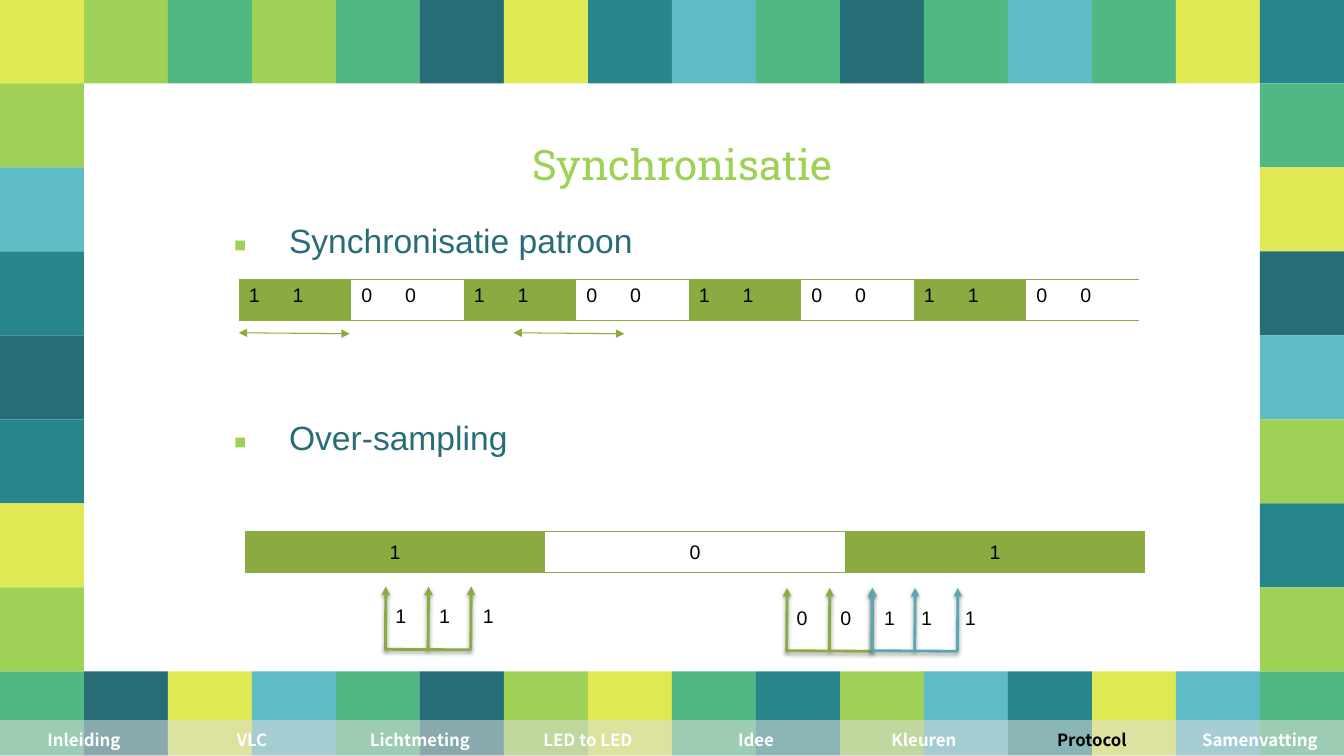
from lxml import etree
from pptx import Presentation
from pptx.dml.color import RGBColor
from pptx.enum.shapes import MSO_CONNECTOR, MSO_SHAPE
from pptx.enum.text import MSO_ANCHOR, PP_ALIGN
from pptx.oxml.ns import qn
from pptx.util import Pt

LINE, RECT = MSO_CONNECTOR.STRAIGHT, MSO_SHAPE.RECTANGLE
TOP, MID, LOW = MSO_ANCHOR.TOP, MSO_ANCHOR.MIDDLE, MSO_ANCHOR.BOTTOM
LEFT, CENTER = PP_ALIGN.LEFT, PP_ALIGN.CENTER

LIME = RGBColor(0x9E, 0xD1, 0x55)
DARK = RGBColor(0x26, 0x6D, 0x78)
YELLOW = RGBColor(0xDF, 0xE9, 0x54)
GREEN = RGBColor(0x50, 0xB8, 0x83)
TEAL = RGBColor(0x27, 0x86, 0x8B)
BLUE = RGBColor(0x5F, 0xBB, 0xC5)
OLIVE = RGBColor(0x8B, 0xAB, 0x42)
MOSS = RGBColor(0x89, 0xAA, 0x3E)
AQUA = RGBColor(0x57, 0xA7, 0xB5)
GRAY = RGBColor(0xDD, 0xDD, 0xDD)
WHITE = RGBColor(0xFF, 0xFF, 0xFF)
BLACK = RGBColor(0, 0, 0)

HUES = {"L": LIME, "D": DARK, "Y": YELLOW, "G": GREEN, "T": TEAL, "B": BLUE}
ROWS = ["YLGLGDYTBGDGBGYT", "GDYBGDLYGTLBTYBG"]
SIDES = ["LBTDTYL", "GYDBLTL"]
NAV = ["Inleiding", "VLC", "Lichtmeting", "LED to LED", "Idee", "Kleuren",
       "Protocol", "Samenvatting"]
HERE = "Protocol"

TITLE = {"name": "Roboto Slab", "size": Pt(30)}
BODY = {"name": "Arial", "size": Pt(24)}
BIT = {"name": "Arial", "size": Pt(14)}
MENU = {"name": "Noto Sans CJK KR", "size": Pt(12), "bold": True}
PLAIN = "{2D5ABB26-0587-4C30-8999-92F81FD0307C}"
TAB = 31.3


def apply(item, values):
    for key, value in values.items():
        setattr(item, key, value)


def add(parent, tag, **attrs):
    """Append a drawing element below parent."""
    node = etree.SubElement(parent, qn("a:" + tag))
    for key, value in attrs.items():
        node.set(key, str(value))
    return node


def style(para, font, color, align=LEFT):
    para.alignment = align
    for run in para.runs:
        apply(run.font, font)
        run.font.color.rgb = color


def set_tabs(para):
    tabs = add(para._p.get_or_add_pPr(), "tabLst")
    for n in (1, 2):
        add(tabs, "tab", pos=Pt(n * TAB), algn="l")


def add_box(slide, box, inset, anchor=TOP):
    frame = slide.shapes.add_textbox(*map(Pt, box)).text_frame
    apply(frame, {"word_wrap": True, "vertical_anchor": anchor,
                  "margin_top": Pt(inset), "margin_bottom": Pt(inset)})
    return frame


def add_tiles(slide, box):
    """Frame the box with square tiles, 16 across and 9 down."""
    left, top, width, height = box
    side = width / 16
    spots = [(col, y, hue) for y, row in zip((0, 8), ROWS)
             for col, hue in enumerate(row)]
    spots += [(x, y, hue) for x, row in zip((0, 15), SIDES)
              for y, hue in enumerate(row, 1)]
    for col, row, hue in spots:
        tile = slide.shapes.add_shape(
            RECT, Pt(left + col * side), Pt(top + row * height / 9),
            Pt(side), Pt(height / 9))
        tile.shadow.inherit = False
        tile.fill.solid()
        tile.fill.fore_color.rgb = HUES[hue]
        tile.line.fill.background()


def add_title(slide, box, text):
    para = add_box(slide, box, 7.2, LOW).paragraphs[0]
    para.text = text
    style(para, TITLE, LIME, CENTER)


def add_points(slide, box, points, gap):
    frame = add_box(slide, box, 7.2)
    for n, text in enumerate(points):
        para = frame.add_paragraph() if n else frame.paragraphs[0]
        para.text = text
        para.space_before = Pt(gap if n else 0)
        props = para._p.get_or_add_pPr()
        props.set("marL", str(Pt(48.2)))
        props.set("indent", str(Pt(-39.6)))
        add(add(props, "buClr"), "srgbClr", val=LIME)
        add(props, "buFont", typeface="Noto Sans Symbols")
        add(props, "buChar", char="▪")
        style(para, BODY, DARK)


def add_strip(slide, box, texts, font, paint, align=CENTER, anchor=MID,
              rule=None):
    """One-row table; paint(n, text) gives font colour, fill and opacity."""
    table = slide.shapes.add_table(1, len(texts), *map(Pt, box)).table
    apply(table, {"first_row": False, "horz_banding": False})
    table._tbl.tblPr.find(qn("a:tableStyleId")).text = PLAIN
    for n, text in enumerate(texts):
        table.columns[n].width = Pt(box[2] / len(texts))
        cell = table.cell(0, n)
        cell.vertical_anchor = anchor
        props = cell._tc.get_or_add_tcPr()
        for tag in ("lnT", "lnB") if rule else ():
            edge = add(props, tag, w=Pt(1))
            add(add(edge, "solidFill"), "srgbClr", val=rule)
        color, fill, alpha = paint(n, text)
        if fill:
            cell.fill.solid()
            cell.fill.fore_color.rgb = fill
            add(props.find(".//" + qn("a:srgbClr")), "alpha",
                val=alpha * 1000)
        else:
            cell.fill.background()
        para = cell.text_frame.paragraphs[0]
        para.text = text
        if "\t" in text:
            set_tabs(para)
        style(para, font, color, align)


def paint_bit(n, text):
    return BLACK, None if n % 2 else OLIVE, 20


def paint_nav(n, text):
    return BLACK if text == HERE else WHITE, GRAY, 54


def add_line(slide, ends, color, width, heads=(), shade=False):
    line = slide.shapes.add_connector(LINE, *map(Pt, ends))
    line.line.color.rgb = color
    line.line.width = Pt(width)
    for tag in heads:
        add(line.line._get_or_add_ln(), tag, type="triangle")
    effects = add(line._element.spPr, "effectLst")
    if shade:
        drop = add(effects, "outerShdw", blurRad=Pt(3.1), dist=Pt(1.6),
                   dir=5400000, rotWithShape=0)
        add(add(drop, "srgbClr", val=BLACK), "alpha", val=38000)


def add_span(slide, box):
    x, y, width, height = box
    add_line(slide, (x, y, x + width, y + height), MOSS, 0.75,
             ("headEnd", "tailEnd"))


def add_fork(slide, box, color, bits, shift=0):
    """Three sample arrows on a common base, with their bits."""
    x, y, width, height = box
    for n in range(3):
        tip = x + n * width / 2
        add_line(slide, (tip, y + height, tip + 0.3, y), color, 2,
                 ("tailEnd",), True)
    add_line(slide, (x - 0.7, y + height, x + width + 0.3, y + height + 0.4),
             color, 2, shade=True)
    para = add_box(slide, (x + shift, y + 9, 105, 24.5), 3.6).paragraphs[0]
    para.text = "\t".join(bits)
    set_tabs(para)
    style(para, BIT, BLACK)


def main():
    deck = Presentation()
    apply(deck, {"slide_width": Pt(960), "slide_height": Pt(540)})
    slide = deck.slides.add_slide(deck.slide_layouts[6])
    add_tiles(slide, (0, -0.5, 960, 540))
    add_title(slide, (151.2, 51.8, 672.5, 90), "Synchronisatie")
    add_points(slide, (151.2, 150, 672.5, 342),
               ["Synchronisatie patroon", "Over-sampling"], 111.7)
    add_strip(slide, (170.6, 199.6, 643, 29.2), ["1\t1", "0\t0"] * 4, BIT,
              paint_bit, LEFT, TOP, OLIVE)
    for x in (170.6, 366.8):
        add_span(slide, (x, 237.7, 79.2, 0.7))
    add_strip(slide, (175, 379.8, 643, 29.2), list("101"), BIT, paint_bit,
              rule=OLIVE)
    add_fork(slide, (275.3, 419, 61, 44.8), OLIVE, "111")
    add_fork(slide, (561.9, 420, 61, 44.8), OLIVE, "001")
    add_fork(slide, (622.9, 420, 61, 44.8), AQUA, "11", 28)
    add_strip(slide, (0, 514.3, 960, 27.2), NAV, MENU, paint_nav)
    deck.save("out.pptx")


if __name__ == "__main__":
    main()
